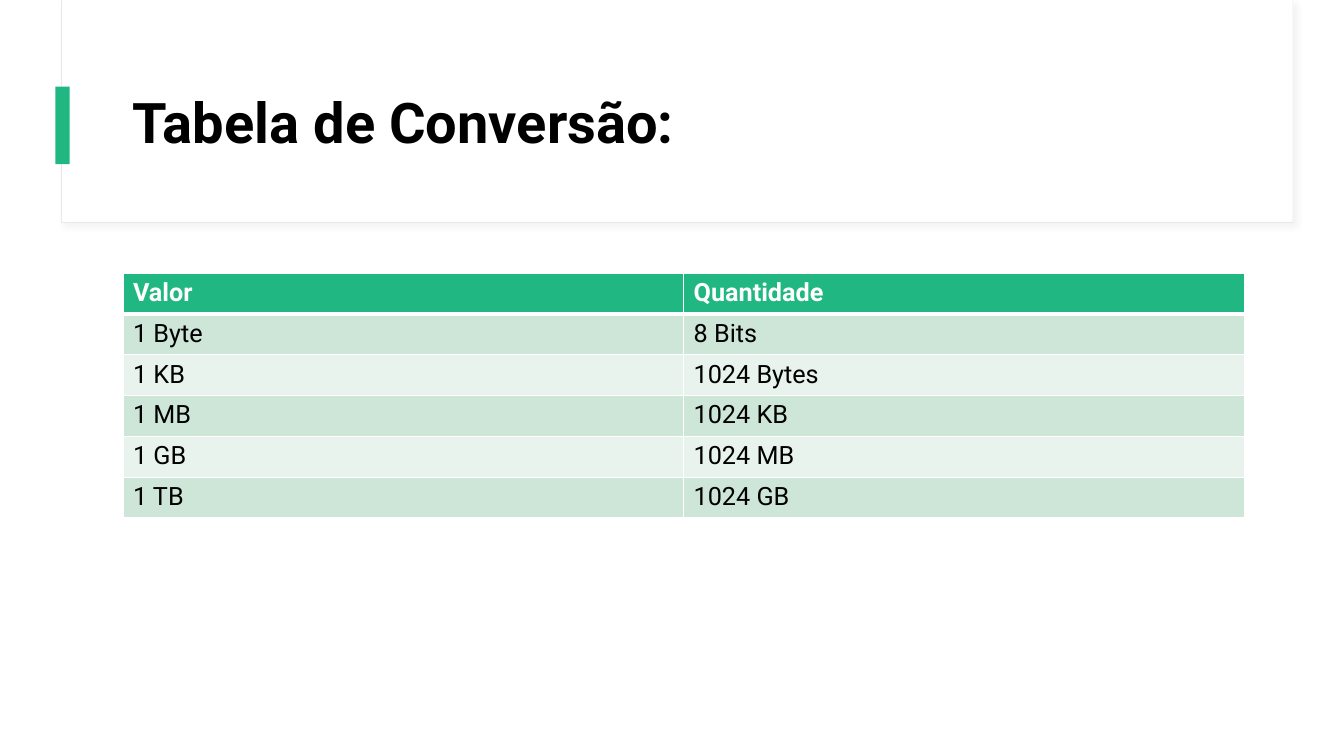
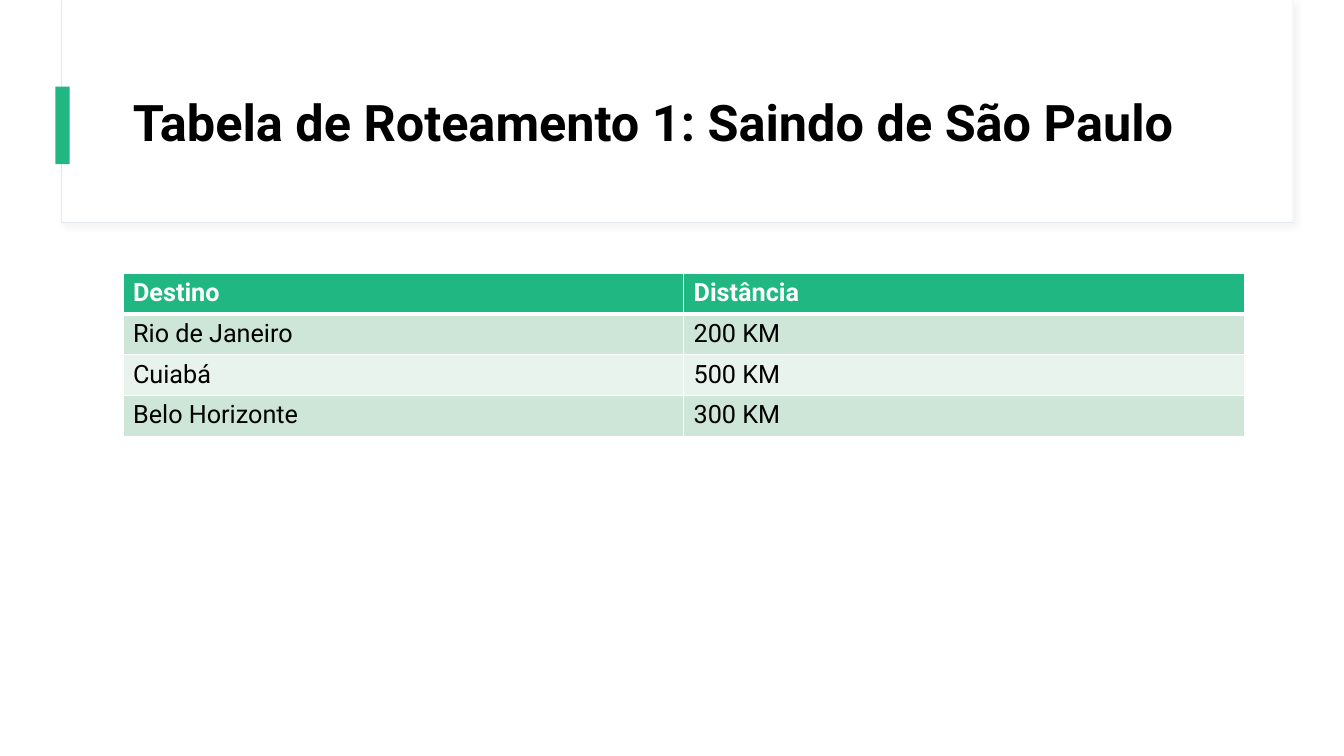
from dataclasses import dataclass

import lxml.etree
import pptx
import pptx.dml.color
import pptx.enum.shapes
import pptx.enum.text
import pptx.oxml.ns
import pptx.util
from pptx.dml.color import RGBColor
from pptx.util import Inches

# Shared style
FONT = "Roboto"
GREEN = RGBColor(0x21, 0xB7, 0x82)
BAND_DARK = RGBColor(0xCD, 0xE6, 0xD8)
BAND_LIGHT = RGBColor(0xE8, 0xF3, 0xED)
WHITE = RGBColor(0xFF, 0xFF, 0xFF)
BLACK = RGBColor(0, 0, 0)
FRAME = RGBColor(0xE3, 0xE9, 0xEF)
SHADOW = RGBColor(0xD9, 0xD9, 0xD9)

LEFT, WIDTH = 1.22, 11.12
TABLE_TOP, ROW_HEIGHT = 2.71, 0.405


@dataclass
class TableSlide:
    title: str
    title_size: int
    rows: list[tuple[str, ...]]


SLIDES = [
    TableSlide("Tabela de Conversão:", 40, [
        ("Valor", "Quantidade"),
        ("1 Byte", "8 Bits"),
        ("1 KB", "1024 Bytes"),
        ("1 MB", "1024 KB"),
        ("1 GB", "1024 MB"),
        ("1 TB", "1024 GB"),
    ]),
    TableSlide("Tabela de Roteamento 1: Saindo de São Paulo", 36, [
        ("Destino", "Distância"),
        ("Rio de Janeiro", "200 KM"),
        ("Cuiabá", "500 KM"),
        ("Belo Horizonte", "300 KM"),
    ]),
]


def add_child(parent, tag: str, **attrs):
    child = lxml.etree.SubElement(parent, pptx.oxml.ns.qn(tag))
    for name, value in attrs.items():
        child.set(name, str(value))
    return child


def add_run(p, text: str, size: int, color: RGBColor, bold: bool) -> None:
    r = p.add_run()
    r.text = text
    r.font.name = FONT
    r.font.size = pptx.util.Pt(size)
    r.font.bold = bold
    r.font.color.rgb = color


def add_rect(s, left: float, top: float, width: float, height: float, fill: RGBColor):
    sp = s.shapes.add_shape(pptx.enum.shapes.MSO_SHAPE.RECTANGLE, Inches(left),
                            Inches(top), Inches(width), Inches(height))
    sp.shadow.inherit = False
    sp.fill.solid()
    sp.fill.fore_color.rgb = fill
    sp.line.fill.background()
    return sp


def add_shadow(sp) -> None:
    effects = sp._element.spPr.find(pptx.oxml.ns.qn("a:effectLst"))
    shadow = add_child(effects, "a:outerShdw", blurRad=pptx.util.Pt(4),
                       dist=pptx.util.Pt(3), dir=45 * 60000, algn="tl", rotWithShape=0)
    add_child(add_child(shadow, "a:srgbClr", val=SHADOW), "a:alpha", val=30000)


def add_header(s, title: str, size: int) -> None:
    # Framed title panel with its accent bar
    frame = add_rect(s, 0.61, 0, 12.21, 2.21, WHITE)
    frame.line.color.rgb = FRAME
    frame.line.width = pptx.util.Pt(0.75)
    add_shadow(frame)
    add_rect(s, 0.62, 0, 12.2, 2.2, WHITE)
    add_rect(s, 0.55, 0.86, 0.14, 0.77, GREEN)

    # Title
    tf = s.shapes.add_textbox(Inches(LEFT), Inches(0.6), Inches(WIDTH), Inches(1.29)).text_frame
    tf.word_wrap = True
    tf.vertical_anchor = pptx.enum.text.MSO_ANCHOR.MIDDLE
    p = tf.paragraphs[0]
    p.line_spacing = 0.9
    add_run(p, title, size, BLACK, True)


def set_borders(cell, top: float, bottom: float) -> None:
    tc_pr = cell._tc.get_or_add_tcPr()
    for side, width in (("L", 1), ("R", 1), ("T", top), ("B", bottom)):
        line = add_child(tc_pr, f"a:ln{side}", w=pptx.util.Pt(width))
        add_child(add_child(line, "a:solidFill"), "a:srgbClr", val=WHITE)


def add_table(s, rows: list[tuple[str, ...]]) -> None:
    table = s.shapes.add_table(len(rows), len(rows[0]), Inches(LEFT), Inches(TABLE_TOP),
                               Inches(WIDTH), Inches(ROW_HEIGHT * len(rows))).table
    for i, row in enumerate(rows):
        table.rows[i].height = Inches(ROW_HEIGHT)
        header = i == 0
        fill = GREEN if header else BAND_DARK if i % 2 else BAND_LIGHT
        for j, text in enumerate(row):
            cell = table.cell(i, j)
            # The thick rule below the header belongs to both rows it separates
            set_borders(cell, top=3 if i == 1 else 1, bottom=3 if header else 1)
            cell.fill.solid()
            cell.fill.fore_color.rgb = fill
            add_run(cell.text_frame.paragraphs[0], text, 18, WHITE if header else BLACK, header)


def main() -> None:
    prs = pptx.Presentation()
    prs.slide_width, prs.slide_height = Inches(13.33), Inches(7.5)
    for content in SLIDES:
        s = prs.slides.add_slide(prs.slide_layouts[6])
        add_header(s, content.title, content.title_size)
        add_table(s, content.rows)
    prs.save("out.pptx")


if __name__ == "__main__":
    main()
